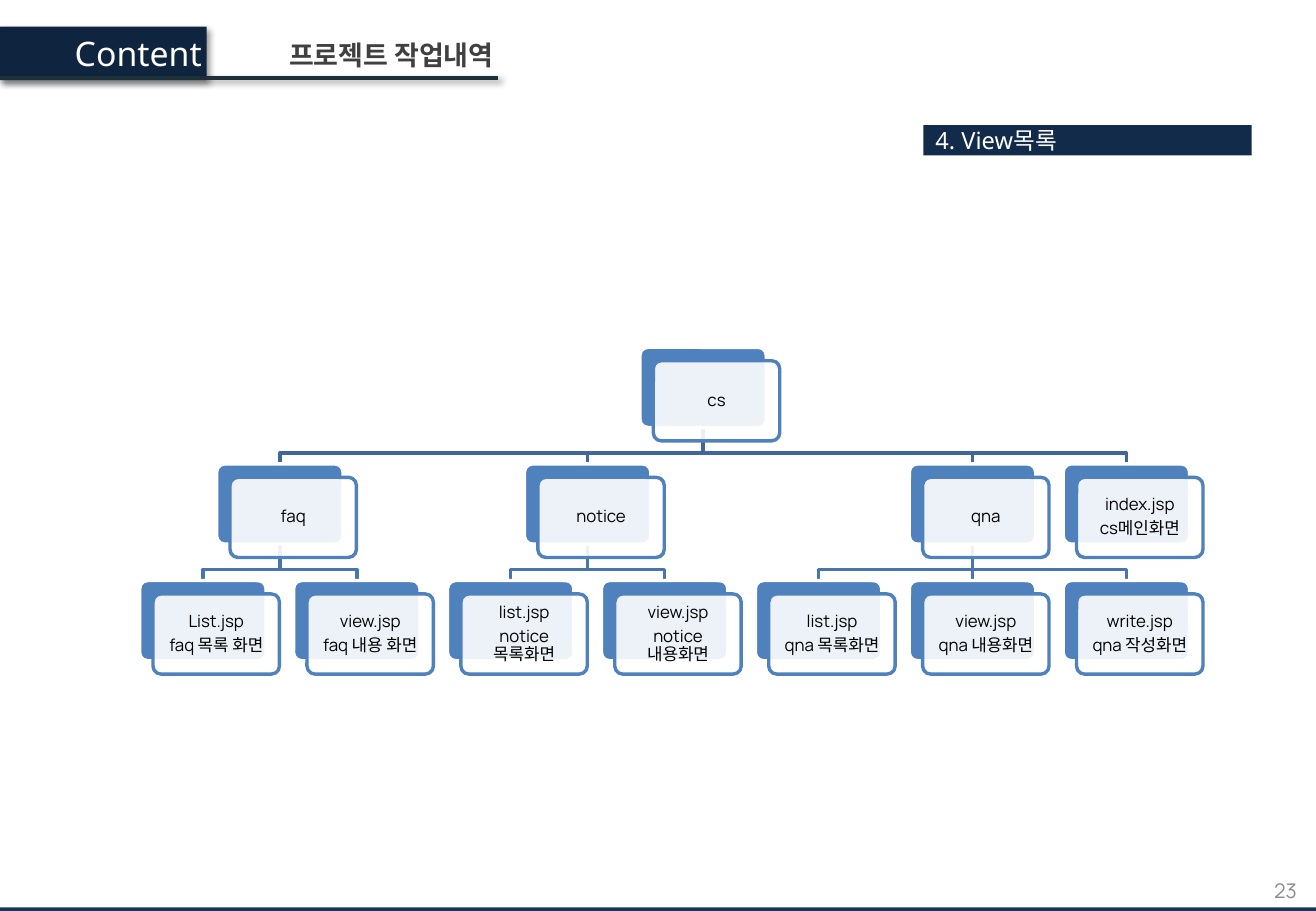
from lxml.etree import SubElement
from pptx import Presentation
from pptx.dml.color import RGBColor
from pptx.enum.shapes import MSO_CONNECTOR, MSO_SHAPE
from pptx.enum.text import MSO_ANCHOR, PP_ALIGN
from pptx.oxml.ns import qn
from pptx.util import Inches, Pt

LEFT, TOP = 1.15, 2.86
COLUMN_STEP, ROW_STEP = 7.6 / 6, 0.96
BOX_WIDTH, BOX_HEIGHT, OFFSET = 1.04, 0.66, 0.11
BRANCH_COLORS = ["3F6797", "4875AC"]

TREE = (3.25, ["cs"], [
    (0.5, ["faq"], [
        (0, ["List.jsp", "faq 목록 화면"], []),
        (1, ["view.jsp", "faq 내용 화면"], []),
    ]),
    (2.5, ["notice"], [
        (2, ["list.jsp", "notice 목록화면"], []),
        (3, ["view.jsp", "notice 내용화면"], []),
    ]),
    (5, ["qna"], [
        (4, ["list.jsp", "qna 목록화면"], []),
        (5, ["view.jsp", "qna 내용화면"], []),
        (6, ["write.jsp", "qna 작성화면"], []),
    ]),
    (6, ["index.jsp", "cs메인화면"], []),
])


def color(value):
    return RGBColor.from_string(value)


def set_effects(shape, shadow):
    effects = SubElement(shape._element.spPr, qn("a:effectLst"))
    if shadow:
        outer = SubElement(effects, qn("a:outerShdw"), blurRad=str(Pt(4)),
                           dist=str(Pt(3)), dir="2700000", algn="tl", rotWithShape="0")
        black = SubElement(outer, qn("a:srgbClr"), val="000000")
        SubElement(black, qn("a:alpha"), val="40000")


def add_box(slide, bounds, fill, line=None, opacity=100, rounded=False, shadow=False):
    kind = MSO_SHAPE.ROUNDED_RECTANGLE if rounded else MSO_SHAPE.RECTANGLE
    shape = slide.shapes.add_shape(kind, *map(Inches, bounds))
    if rounded:
        shape.adjustments[0] = 0.1
    shape.fill.solid()
    shape.fill.fore_color.rgb = color(fill)
    if opacity < 100:
        fill_color = shape._element.spPr.find(qn("a:solidFill"))[0]
        SubElement(fill_color, qn("a:alpha"), val=str(opacity * 1000))
    if line:
        shape.line.color.rgb = color(line)
        shape.line.width = Pt(2)
    else:
        shape.line.fill.background()
    set_effects(shape, shadow)
    return shape


def write_text(shape, lines, size, font, fill, align=PP_ALIGN.LEFT,
               anchor=MSO_ANCHOR.MIDDLE, bold=False, wrap=True):
    frame = shape.text_frame
    frame.word_wrap = wrap
    frame.vertical_anchor = anchor
    for index, line in enumerate(lines):
        paragraph = frame.add_paragraph() if index else frame.paragraphs[0]
        paragraph.alignment = align
        run = paragraph.add_run()
        run.text = line
        run.font.size = Pt(size)
        run.font.name = font
        run.font.bold = bold
        run.font.color.rgb = color(fill)
    return frame


def add_text(slide, bounds, *text, **options):
    return write_text(slide.shapes.add_textbox(*map(Inches, bounds)), *text, **options)


def add_line(slide, start, end, line, width, shadow=False):
    connector = slide.shapes.add_connector(
        MSO_CONNECTOR.STRAIGHT, *map(Inches, start + end))
    connector.line.color.rgb = color(line)
    connector.line.width = Pt(width)
    set_effects(connector, shadow)


def add_branch(slide, start, end, line):
    if start[0] == end[0]:
        add_line(slide, start, end, line, 2)
        return
    bend = start[1] + 0.21
    points = [start, (start[0], bend), (end[0], bend), end]
    points = [(Inches(x), Inches(y)) for x, y in points]
    builder = slide.shapes.build_freeform(*points[0])
    builder.add_line_segments(points[1:], close=False)
    shape = builder.convert_to_shape()
    shape.fill.background()
    shape.line.color.rgb = color(line)
    shape.line.width = Pt(2)
    set_effects(shape, False)


def node_corner(column, level):
    return LEFT + column * COLUMN_STEP, TOP + level * ROW_STEP


def add_branches(slide, node, level=0):
    column, _, children = node
    x, y = node_corner(column, level)
    for child in children:
        child_x, child_y = node_corner(child[0], level + 1)
        add_branch(slide, (x + BOX_WIDTH / 2, y + BOX_HEIGHT),
                   (child_x + BOX_WIDTH / 2, child_y), BRANCH_COLORS[level])
        add_branches(slide, child, level + 1)


def add_nodes(slide, node, level=0):
    column, lines, children = node
    x, y = node_corner(column, level)
    add_box(slide, (x, y, BOX_WIDTH, BOX_HEIGHT), "4F81BD", "FFFFFF", rounded=True)
    add_box(slide, (x + OFFSET, y + OFFSET, BOX_WIDTH, BOX_HEIGHT),
            "FFFFFF", "4F81BD", opacity=90, rounded=True)
    frame = add_text(slide, (x + 0.13, y + 0.13, 1, 0.62), lines, 10,
                     "Manrope", "000000", align=PP_ALIGN.CENTER)
    frame.margin_left = frame.margin_right = Inches(0.04)
    frame.margin_top = frame.margin_bottom = Inches(0.04)
    for paragraph in frame.paragraphs:
        paragraph.line_spacing = 0.9
        paragraph.space_after = Pt(3.5)
    for child in children:
        add_nodes(slide, child, level + 1)


def main():
    presentation = Presentation()
    presentation.slide_width = Inches(10.83)
    presentation.slide_height = Inches(7.5)
    slide = presentation.slides.add_slide(presentation.slide_layouts[6])

    add_box(slide, (-0.1, 7.47, 11.02, 0.09), "17375E")
    add_box(slide, (0.57, 1.26, 9.73, 5.7), "FFFFFF", opacity=31)
    add_text(slide, (8.24, 7.13, 2.53, 0.4), ["23"], 12, "Manrope", "8C8C8C",
             align=PP_ALIGN.RIGHT)
    section = add_box(slide, (7.6, 1.03, 2.7, 0.25), "122B4A")
    write_text(section, ["4. View목록"], 14, "Noto Sans", "FFFFFF")

    add_box(slide, (-0.01, 0.22, 1.71, 0.44), "0F243E", shadow=True)
    add_text(slide, (0.5, 0.22, 1.26, 0.44), ["Content"], 20, "Noto Sans", "FFFFFF",
             align=PP_ALIGN.RIGHT, anchor=MSO_ANCHOR.TOP, wrap=False)
    add_text(slide, (2.12, 0.27, 2.04, 0.37), ["프로젝트 작업내역"], 16, "Manrope", "404040",
             align=PP_ALIGN.RIGHT, anchor=MSO_ANCHOR.TOP, bold=True, wrap=False)
    add_line(slide, (-0.01, 0.64), (4.1, 0.64), "1D2F39", 2.25, shadow=True)

    add_branches(slide, TREE)
    add_nodes(slide, TREE)
    presentation.save("out.pptx")


main()
